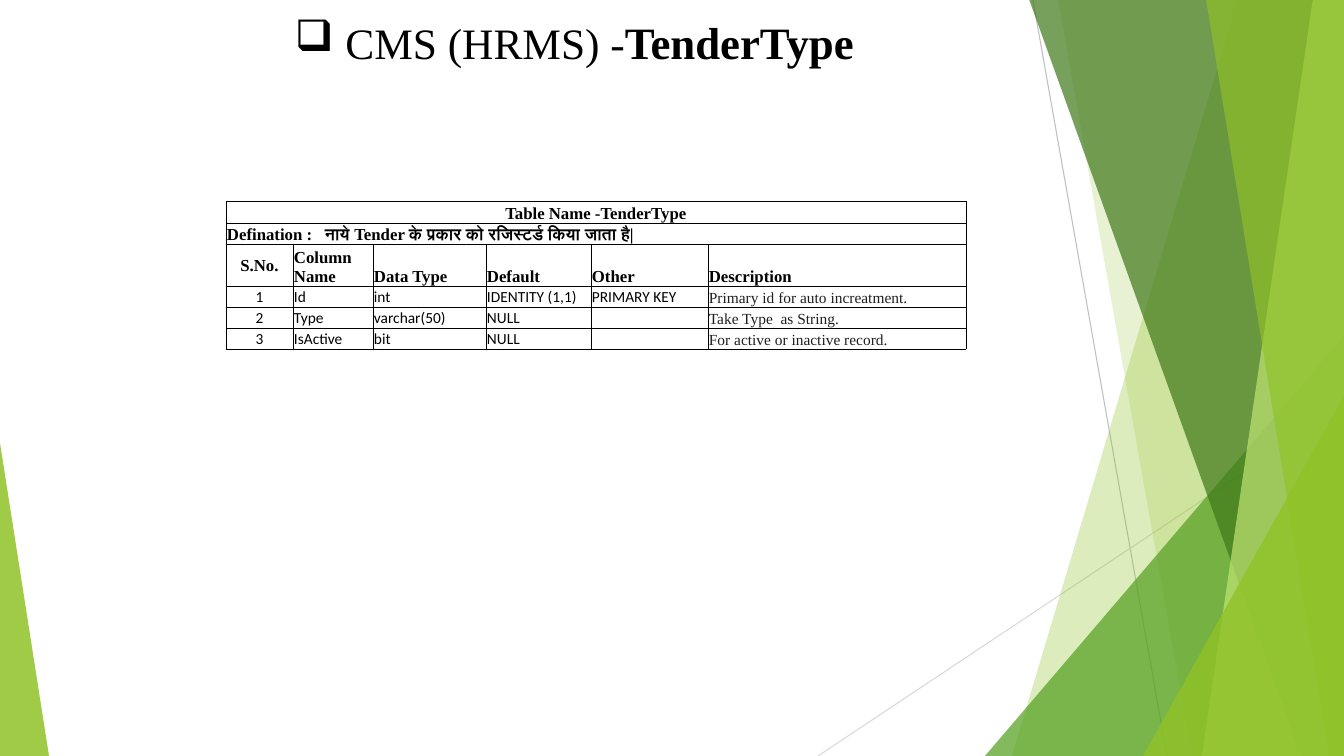
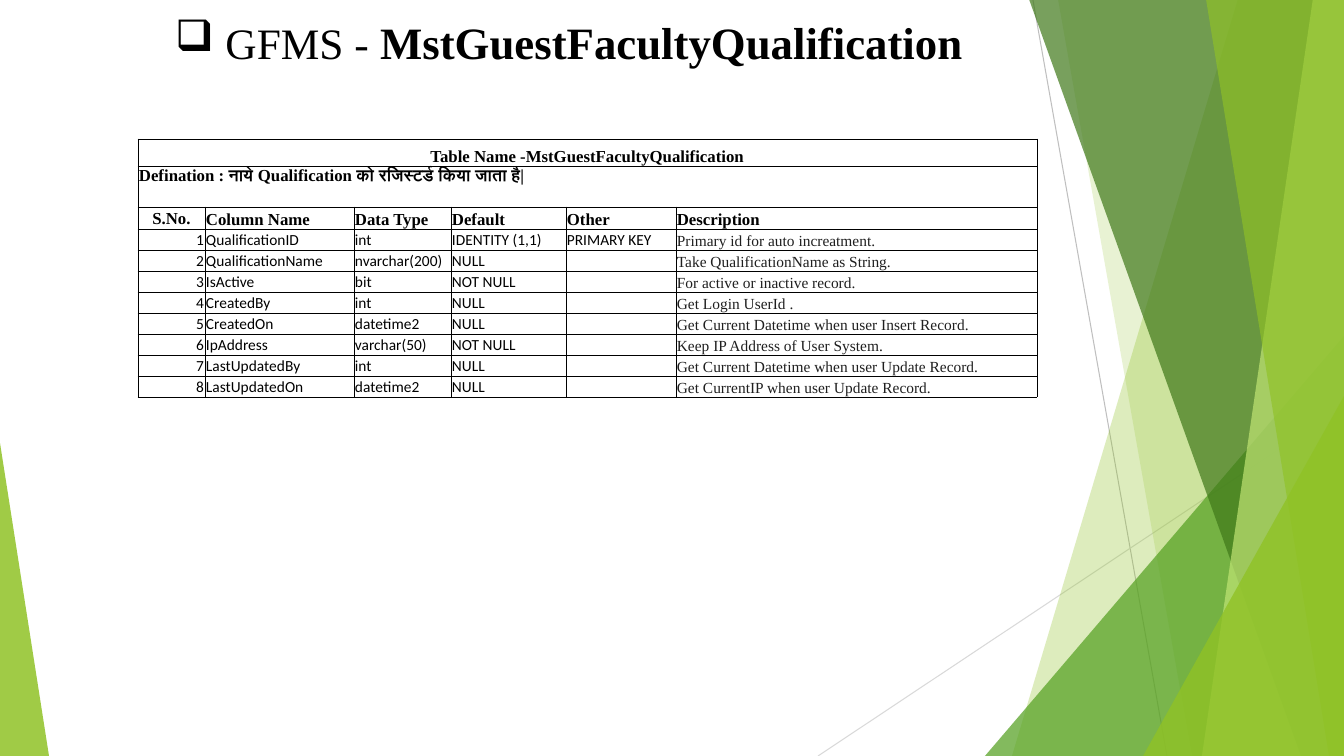
import pptx
import pptx.dml.color
import pptx.enum.shapes
import pptx.enum.text
import pptx.oxml
import pptx.oxml.ns
import pptx.oxml.xmlchemy
import pptx.util
import lxml.etree

RGB = pptx.dml.color.RGBColor
ALIGN = pptx.enum.text.PP_ALIGN
ANCHOR = pptx.enum.text.MSO_ANCHOR
qn = pptx.oxml.ns.qn

# Style
WIDTH, HEIGHT = 1344, 756
SCALE = 914400 / 100.8
SERIF, SANS = "Times New Roman", "Calibri"
BLACK = RGB(0x00, 0x00, 0x00)
INK = RGB(0x1F, 0x1F, 0x1F)
LIME = RGB(0x90, 0xC2, 0x26)
GREEN = RGB(0x54, 0xA0, 0x21)
FOREST = RGB(0x3F, 0x78, 0x19)
PALE_LIME = RGB(0xC0, 0xE4, 0x74)
GREY = RGB(0xBF, 0xBF, 0xBF)
LIGHT_GREY = RGB(0xD9, 0xD9, 0xD9)


def emu(px):
    return pptx.util.Emu(round(px * SCALE))


def write(frame, text, size=11, font=SERIF, color=BLACK, bold=False, align=ALIGN.LEFT):
    """Append one formatted run to the last paragraph of a text frame."""
    paragraph = frame.paragraphs[-1]
    paragraph.alignment = align
    if not text:
        paragraph._p.get_or_add_endParaRPr().set("sz", str(size * 100))
        return
    run = paragraph.add_run()
    run.text = text
    run.font.size = pptx.util.Pt(size)
    run.font.name = font
    run.font.bold = bold
    run.font.color.rgb = color


class Deck:
    HEADINGS = ["S.No.", "Column Name", "Data Type", "Default", "Other", "Description"]

    def __init__(self):
        self.prs = pptx.Presentation()
        self.prs.slide_width, self.prs.slide_height = emu(WIDTH), emu(HEIGHT)
        self.shapes = None

    def new_slide(self):
        self.shapes = self.prs.slides.add_slide(self.prs.slide_layouts[6]).shapes
        self.backdrop()

    # Green facets shared by every slide, back to front
    def backdrop(self):
        self.line(1033, 0, 1167, HEIGHT, GREY)
        self.line(WIDTH, 406, 818, HEIGHT, LIGHT_GREY)
        self.facet(1238, 1012, LIME, 30)
        self.facet(1058, 1192, LIME, 20)
        self.triangle(985, 336, 359, 1, GREEN, 72)
        self.facet(1029, 1301, FOREST, 70)
        self.facet(1313, 1202, PALE_LIME, 70)
        self.facet(1206, 1329, LIME, 65)
        self.triangle(1143, 396, 201, 1, LIME, 80)
        self.triangle(0, 443, 49, 0, LIME, 85)

    def line(self, x1, y1, x2, y2, color):
        line = self.shapes.add_connector(
            pptx.enum.shapes.MSO_CONNECTOR.STRAIGHT, emu(x1), emu(y1), emu(x2), emu(y2))
        line.line.color.rgb = color
        line.line.width = pptx.util.Pt(0.75)
        lxml.etree.SubElement(line._element.spPr, qn("a:effectLst"))

    def paint(self, shape, color, opacity):
        shape.shadow.inherit = False
        shape.line.fill.background()
        shape.fill.solid()
        shape.fill.fore_color.rgb = color
        tint = shape._element.spPr.find(".//" + qn("a:srgbClr"))
        lxml.etree.SubElement(tint, qn("a:alpha")).set("val", str(opacity * 1000))

    def facet(self, top_x, bottom_x, color, opacity):
        """Fill from a slanted edge to the right side of the slide."""
        outline = self.shapes.build_freeform(top_x, -1, scale=SCALE)
        outline.add_line_segments([(WIDTH, -1), (WIDTH, HEIGHT), (bottom_x, HEIGHT)])
        self.paint(outline.convert_to_shape(), color, opacity)

    def triangle(self, left, top, width, peak, color, opacity):
        """Triangle standing on the bottom edge of the slide."""
        shape = self.shapes.add_shape(
            pptx.enum.shapes.MSO_SHAPE.ISOSCELES_TRIANGLE,
            emu(left), emu(top), emu(width), emu(HEIGHT - top))
        shape.adjustments[0] = peak
        self.paint(shape, color, opacity)

    def title(self, system, table_name, tail=""):
        frame = self.shapes.add_textbox(emu(157), emu(8), emu(835), emu(65)).text_frame
        frame.word_wrap = True
        frame.auto_size = pptx.enum.text.MSO_AUTO_SIZE.SHAPE_TO_FIT_TEXT
        frame.vertical_anchor = ANCHOR.BOTTOM
        props = frame.paragraphs[0]._p.get_or_add_pPr()
        props.set("marL", "457200")
        props.set("indent", "-457200")
        lxml.etree.SubElement(props, qn("a:buChar")).set("char", "❑")
        write(frame, system, size=31, align=ALIGN.CENTER)
        write(frame, table_name, size=32, bold=True, align=ALIGN.CENTER)
        if tail:
            write(frame, tail, size=31, align=ALIGN.CENTER)

    def cell(self, cell, text, anchor=ANCHOR.BOTTOM, **style):
        cell.margin_left = cell.margin_right = cell.margin_top = emu(1)
        cell.margin_bottom = 0
        cell.vertical_anchor = anchor
        write(cell.text_frame, text, **style)

    def frame_cell(self, cell):
        cell.fill.background()
        props = cell._tc.get_or_add_tcPr()
        for place, side in enumerate(("lnL", "lnR", "lnT", "lnB")):
            border = lxml.etree.Element(qn("a:" + side), w="6350")
            fill = lxml.etree.SubElement(border, qn("a:solidFill"))
            lxml.etree.SubElement(fill, qn("a:srgbClr")).set("val", str(BLACK))
            props.insert(place, border)

    def schema(self, left, top, widths, head_heights, name, definition, fields,
               number_align, number_anchor, definition_anchor=ANCHOR.BOTTOM):
        """Data dictionary: name, definition, headings, then numbered fields."""
        heights = head_heights + [21] * len(fields)
        table = self.shapes.add_table(
            len(heights), len(widths), emu(left), emu(top),
            emu(sum(widths)), emu(sum(heights))).table
        table.first_row = table.horz_banding = False
        for column, width in zip(table.columns, widths):
            column.width = emu(width)
        for row, height in zip(table.rows, heights):
            row.height = emu(height)
        for cell in (cell for row in table.rows for cell in row.cells):
            self.frame_cell(cell)

        # Name and definition across the full width
        for row in (0, 1):
            table.cell(row, 0).merge(table.cell(row, len(widths) - 1))
        heading = dict(size=12, bold=True)
        self.cell(table.cell(0, 0), "Table Name -" + name, align=ALIGN.CENTER, **heading)
        self.cell(table.cell(1, 0), definition, anchor=definition_anchor, **heading)

        # Column headings
        for col, label in enumerate(self.HEADINGS):
            place = {} if col else dict(align=ALIGN.CENTER, anchor=ANCHOR.MIDDLE)
            self.cell(table.cell(2, col), label, **place, **heading)

        # Numbered fields
        for number, (*facts, description) in enumerate(fields, 1):
            row = number + 2
            self.cell(table.cell(row, 0), str(number), font=SANS,
                      align=number_align, anchor=number_anchor)
            for col, fact in enumerate(facts, 1):
                self.cell(table.cell(row, col), fact, font=SANS)
            self.cell(table.cell(row, 5), description, color=INK)


def main():
    deck = Deck()

    # Tender types
    deck.new_slide()
    deck.title("CMS (HRMS) -", "TenderType")
    deck.schema(
        226, 201, [67, 80, 113, 105, 117, 258], [22, 21, 42], "TenderType",
        "Defination :   नाये Tender के प्रकार को रजिस्टर्ड किया जाता है|",
        [("Id", "int", "IDENTITY (1,1)", "PRIMARY KEY", "Primary id for auto increatment."),
         ("Type", "varchar(50)", "NULL", "", "Take Type  as String."),
         ("IsActive", "bit", "NULL", "", "For active or inactive record.")],
        ALIGN.CENTER, ANCHOR.MIDDLE)

    # Guest faculty qualifications
    deck.new_slide()
    deck.title("GFMS -", " MstGuestFacultyQualification", " ")
    deck.schema(
        138, 139, [67, 149, 97, 115, 110, 361], [27, 41, 22], "MstGuestFacultyQualification",
        "Defination : नाये Qualification को रजिस्टर्ड किया जाता है|",
        [("QualificationID", "int", "IDENTITY (1,1)", "PRIMARY KEY",
          "Primary id for auto increatment."),
         ("QualificationName", "nvarchar(200)", "NULL", "", "Take QualificationName as String."),
         ("IsActive", "bit", "NOT NULL", "", "For active or inactive record."),
         ("CreatedBy", "int", "NULL", "", "Get Login UserId ."),
         ("CreatedOn", "datetime2", "NULL", "", "Get Current Datetime when user Insert Record."),
         ("IpAddress", "varchar(50)", "NOT NULL", "", "Keep IP Address of User System."),
         ("LastUpdatedBy", "int", "NULL", "", "Get Current Datetime when user Update Record."),
         ("LastUpdatedOn", "datetime2", "NULL", "", "Get CurrentIP when user Update Record.")],
        ALIGN.RIGHT, ANCHOR.BOTTOM, definition_anchor=ANCHOR.TOP)

    deck.prs.save("out.pptx")


if __name__ == "__main__":
    main()
